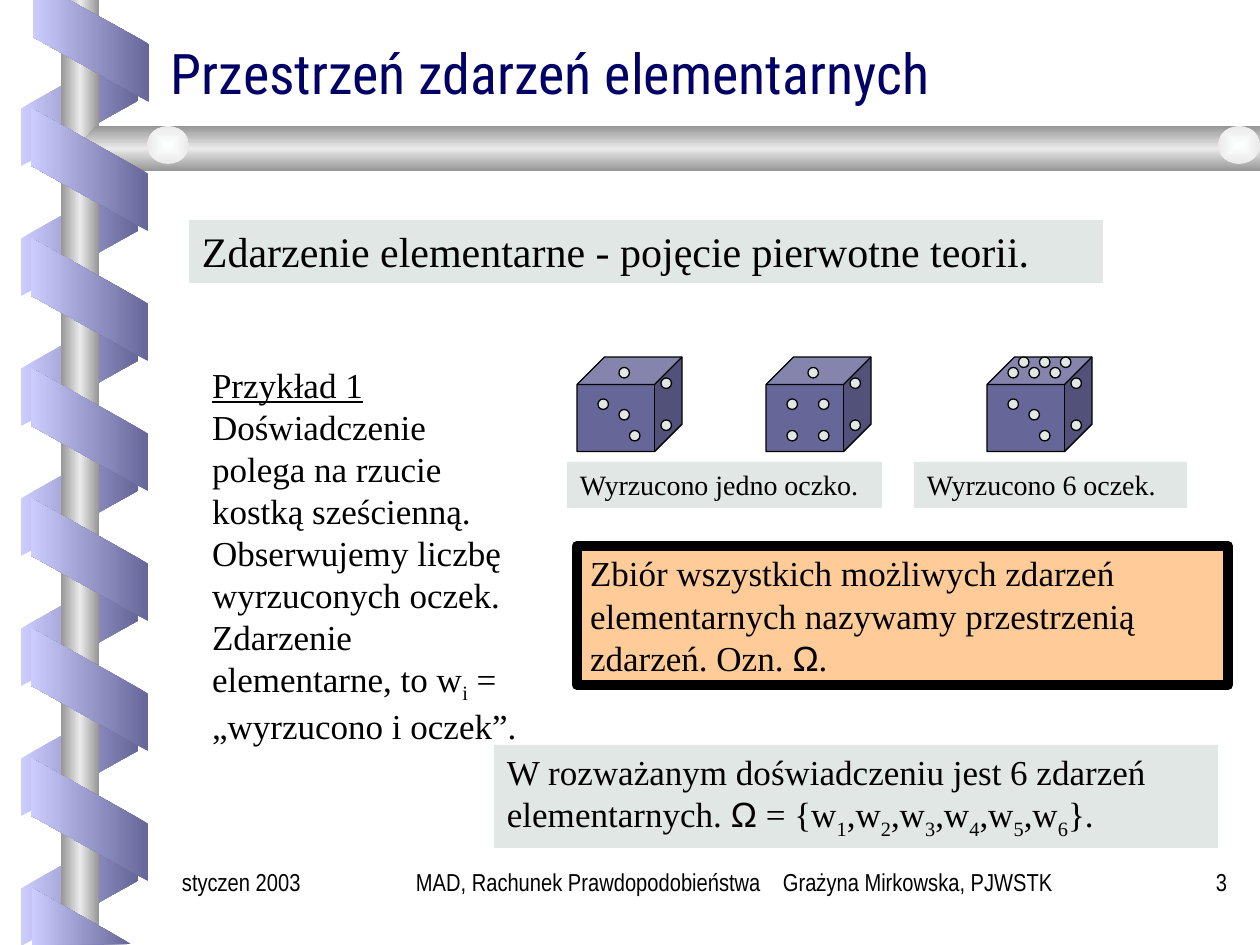
from pptx import Presentation
from pptx.dml.color import RGBColor
from pptx.enum.shapes import MSO_SHAPE as SHAPE
from pptx.enum.text import MSO_ANCHOR, PP_ALIGN
from pptx.oxml import parse_xml
from pptx.oxml.ns import nsdecls, qn
from pptx.util import Pt

SCALE = 914400 / 126
SERIF, SANS = "Times New Roman", "Arial Narrow"
PALE, BLACK, NAVY = "E1E7E4", "000000", "000066"
LIGHT, DARK = "CCCCFF", "666699"
STEEL = [(0, "969696"), (50, "EAEAEA"), (100, "969696")]
PEARL = [(0, "FEFFFF"), (100, "EAEAEA")]
BACK = [(0, LIGHT), (100, DARK)]
FRONT = [(0, DARK), (100, LIGHT)]

BEAM = [(1260, 126), (96, 126), (76, 149), (96, 171), (1260, 171)]
TOP = [(33, 0), (33, 37), (149, 102), (149, 44), (69, 0)]
TAIL = [(131, 944), (32, 888), (32, 945)]

UNIT = 10.5
SHARED = [(5, 7), (2, 4), (8, 2), (8, 6)]
DICE = [
    (577, [(4, 1), (4, 5)]),
    (766, [(4, 1), (2, 7), (5, 4)]),
    (987, [(3, 0), (5, 0), (7, 0), (2, 1), (4, 1), (6, 1), (4, 5)]),
]

OMEGA = ("Ω", {"font": "Arial"})
SUB = {"base": -25}
EVENTS = []
for num in range(1, 7):
    EVENTS += [("w" if num == 1 else ",w", {}), (str(num), SUB)]

TEXTS = [
    ((158, 32, 1071, 79), ["Przestrzeń zdarzeń elementarnych"],
     dict(size=32, font="Roboto Condensed", color=NAVY, low=True, lead=0.8)),
    ((189, 220, 914, 63), ["Zdarzenie elementarne - pojęcie pierwotne teorii."],
     dict(size=24, fill=PALE)),
    ((199, 357, 336, 397),
     [("Przykład 1", {"under": True}),
      " Doświadczenie polega na rzucie kostką sześcienną. Obserwujemy liczbę "
      "wyrzuconych oczek. Zdarzenie elementarne, to w",
      ("i", SUB), " = „wyrzucono i oczek”."], {}),
    ((567, 462, 315, 46), ["Wyrzucono jedno oczko."], dict(size=16, fill=PALE)),
    ((914, 462, 273, 46), ["Wyrzucono 6 oczek."], dict(size=16, fill=PALE)),
    ((577, 546, 651, 139),
     ["Zbiór wszystkich możliwych zdarzeń elementarnych nazywamy "
      "przestrzenią zdarzeń. Ozn. ", OMEGA, "."], dict(fill="FFCC99", edge=6)),
    ((494, 745, 724, 103),
     ["W rozważanym doświadczeniu jest 6 zdarzeń elementarnych. ", OMEGA,
      " = {", *EVENTS, "}."], dict(fill=PALE)),
    ((325, 861, 829, 63),
     ["MAD, Rachunek Prawdopodobieństwa\tGrażyna Mirkowska, PJWSTK"],
     dict(size=14, font=SANS, inset=91, tab=367)),
    ((1134, 861, 106, 63), ["3"], dict(size=14, font=SANS, align=PP_ALIGN.RIGHT)),
    ((169, 861, 178, 63), ["styczen 2003"], dict(size=14, font=SANS)),
]


def px(num):
    return round(num * SCALE)


def rgb(code):
    return RGBColor.from_string(code)


def paint(shape, fill=None, edge=0):
    shape.shadow.inherit = False
    if fill:
        shape.fill.solid()
        shape.fill.fore_color.rgb = rgb(fill)
    if edge:
        shape.line.color.rgb = rgb(BLACK)
        shape.line.width = Pt(edge)
    else:
        shape.line.fill.background()


def blend(shape, stops, angle=None):
    paint(shape, BLACK)
    marks = "".join(
        f'<a:gs pos="{pos * 1000}"><a:srgbClr val="{code}"/></a:gs>'
        for pos, code in stops)
    if angle is None:
        way = ('<a:path path="rect"><a:fillToRect l="50000" t="50000" '
               'r="50000" b="50000"/></a:path>')
    else:
        way = f'<a:lin ang="{angle * 60000}" scaled="0"/>'
    grad = parse_xml(f'<a:gradFill {nsdecls("a")} rotWithShape="0">'
                     f'<a:gsLst>{marks}</a:gsLst>{way}</a:gradFill>')
    props = shape._element.spPr
    props.replace(props.find(qn("a:solidFill")), grad)


def form(kind, box, adj=None):
    shape = slide.shapes.add_shape(kind, *map(px, box))
    if adj is not None:
        shape.adjustments[0] = adj
    return shape


def shard(points, stops, angle):
    pen = slide.shapes.build_freeform(*points[0], scale=SCALE)
    pen.add_line_segments(points[1:], close=True)
    blend(pen.convert_to_shape(), stops, angle)


def band(left, top, turn, stops, flip=False):
    shape = form(SHAPE.PARALLELOGRAM, (left, top, 123, 117), 0.56)
    shape.rotation = turn
    if flip:
        shape._element.spPr.xfrm.set("flipH", "1")
    blend(shape, stops, 180)


def write(box, runs, size=20, font=SERIF, color=BLACK, fill=None, edge=0,
          align=PP_ALIGN.LEFT, low=False, lead=None, inset=13, tab=None):
    if fill:
        shape = form(SHAPE.RECTANGLE, box)
        paint(shape, fill, edge)
    else:
        shape = slide.shapes.add_textbox(*map(px, box))
    frame = shape.text_frame
    frame.word_wrap = True
    frame.vertical_anchor = MSO_ANCHOR.BOTTOM if low else MSO_ANCHOR.TOP
    frame.margin_left, frame.margin_right = px(inset), px(13)
    frame.margin_top = frame.margin_bottom = px(6)
    para = frame.paragraphs[0]
    para.alignment = align
    if lead:
        para.line_spacing = lead
    if tab:
        para._p.get_or_add_pPr().append(parse_xml(
            f'<a:tabLst {nsdecls("a")}><a:tab pos="{px(tab)}" algn="l"/></a:tabLst>'))
    for item in runs:
        text, look = (item, {}) if isinstance(item, str) else item
        run = para.add_run()
        run.text = text
        run.font.size = Pt(size)
        run.font.name = look.get("font", font)
        run.font.color.rgb = rgb(color)
        if look.get("under"):
            run.font.underline = True
        if "base" in look:
            run.font._element.set("baseline", str(look["base"] * 1000))


deck = Presentation()
deck.slide_width, deck.slide_height = px(1260), px(945)
slide = deck.slides.add_slide(deck.slide_layouts[6])

for row in range(7):
    band(18, 46 + 130 * row, 90, BACK, flip=True)
blend(form(SHAPE.RECTANGLE, (61, 0, 38, 945)), STEEL, 180)
shard(BEAM, STEEL, 90)
for left in (147, 1218):
    blend(form(SHAPE.OVAL, (left, 126, 42, 38)), PEARL)
for row in range(6):
    band(28, 111 + 130 * row, 270, FRONT)
shard(TOP, FRONT, 180)
shard(TAIL, FRONT, 180)

for left, extra in DICE:
    paint(form(SHAPE.CUBE, (left, 357, 10 * UNIT, 9 * UNIT), 0.29), DARK, 0.75)
    for col, row in SHARED + extra:
        spot = (left + col * UNIT, 357 + row * UNIT, UNIT, UNIT)
        paint(form(SHAPE.OVAL, spot), PALE, 0.75)

for box, runs, look in TEXTS:
    write(box, runs, **look)

deck.save("out.pptx")
